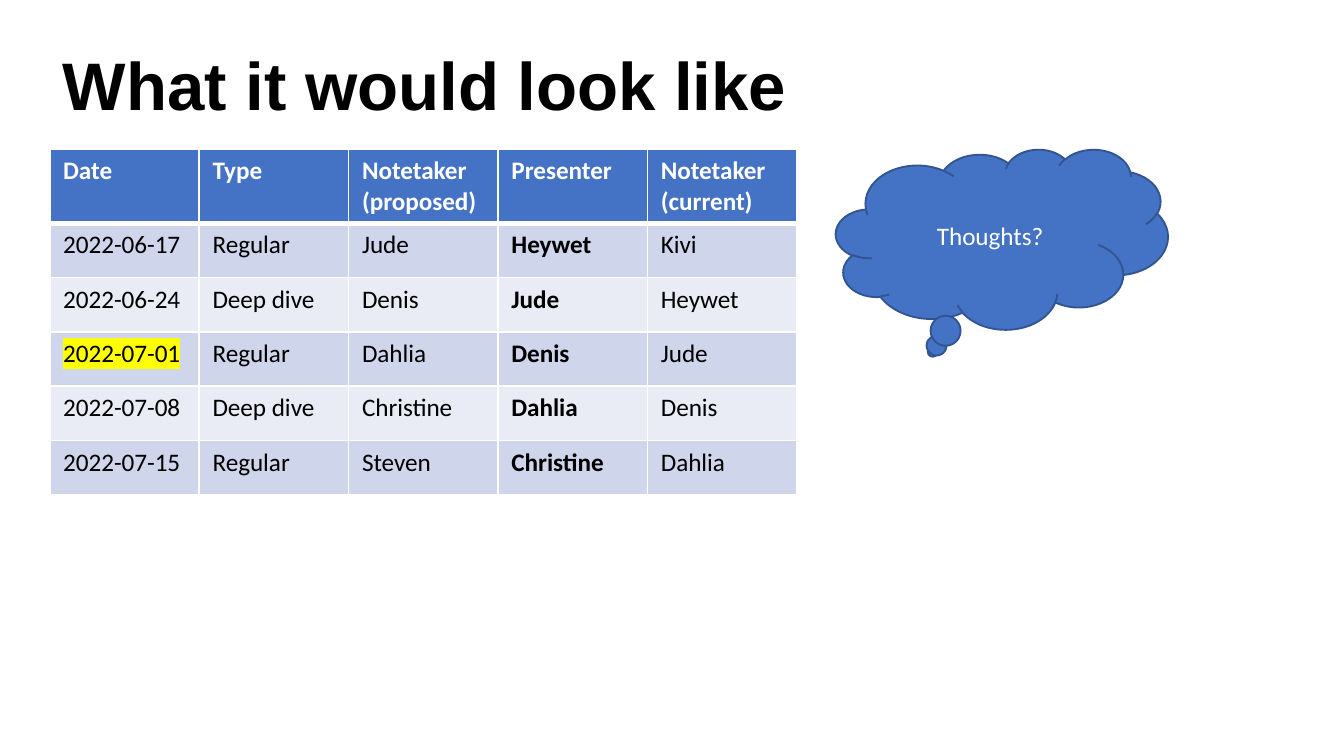
from lxml.etree import SubElement
from pptx import Presentation
from pptx.dml.color import RGBColor
from pptx.enum.shapes import MSO_SHAPE
from pptx.enum.text import MSO_ANCHOR, PP_ALIGN
from pptx.oxml import parse_xml
from pptx.oxml.ns import nsdecls, qn
from pptx.util import Inches, Pt


def paint(color, code):
    color.rgb = RGBColor.from_string(code)


class Deck:
    blue = "4472C4"
    edge = "325491"
    white = "FFFFFF"
    black = "000000"
    bands = ("CFD5EA", "E9EBF5")
    size = 13.5

    def __init__(self, wide, high):
        self.file = Presentation()
        self.file.slide_width = Inches(wide)
        self.file.slide_height = Inches(high)
        self.slide = self.file.slides.add_slide(self.file.slide_layouts[6])

    def font(self, para, color, size=size, name="Calibri", bold=False):
        font = para.font
        font.name, font.size, font.bold = name, Pt(size), bold
        paint(font.color, color)

    def title(self, text, *box):
        frame = self.slide.shapes.add_textbox(*map(Inches, box)).text_frame
        frame.word_wrap = True
        frame.vertical_anchor = MSO_ANCHOR.BOTTOM
        para = frame.paragraphs[0]
        para.text = text
        para.line_spacing = 0.9
        para.space_before = Pt(7.5)
        self.font(para, self.black, 36, "Arial", True)

    def border(self, cell, top, bottom):
        props = cell._tc.get_or_add_tcPr()
        sides = (("L", 1), ("R", 1), ("T", top), ("B", bottom))
        for spot, (side, width) in enumerate(sides):
            line = parse_xml(
                f'<a:ln{side} {nsdecls("a")} w="{Pt(width)}"><a:solidFill>'
                f'<a:srgbClr val="{self.white}"/></a:solidFill></a:ln{side}>')
            props.insert(spot, line)

    def mark(self, para, code):
        light = SubElement(para.runs[0]._r.get_or_add_rPr(), qn("a:highlight"))
        SubElement(light, qn("a:srgbClr")).set("val", code)

    def table(self, rows, *box, strong, marked):
        grid = self.slide.shapes.add_table(
            len(rows), len(rows[0]), *map(Inches, box)).table
        for r, row in enumerate(rows):
            head = r == 0
            for c, text in enumerate(row):
                cell = grid.cell(r, c)
                cell.fill.solid()
                paint(cell.fill.fore_color,
                      self.blue if head else self.bands[(r - 1) % 2])
                self.border(cell, 3 if r == 1 else 1, 3 if head else 1)
                para = cell.text_frame.paragraphs[0]
                para.text = text
                self.font(para, self.white if head else self.black,
                          bold=head or c == strong)
                if text == marked:
                    self.mark(para, "FFFF00")

    def cloud(self, text, *box):
        shape = self.slide.shapes.add_shape(
            MSO_SHAPE.CLOUD_CALLOUT, *map(Inches, box))
        shape.shadow.inherit = False
        shape.fill.solid()
        paint(shape.fill.fore_color, self.blue)
        paint(shape.line.color, self.edge)
        shape.line.width = Pt(1)
        frame = shape.text_frame
        frame.vertical_anchor = MSO_ANCHOR.MIDDLE
        para = frame.paragraphs[0]
        para.text = text
        para.alignment = PP_ALIGN.CENTER
        self.font(para, self.white)


def main():
    deck = Deck(10, 10 * 9 / 16)
    deck.title("What it would look like", 0.37, 0.43, 9.08, 0.55)
    rows = (
        ("Date", "Type", "Notetaker (proposed)", "Presenter",
         "Notetaker (current)"),
        ("2022-06-17", "Regular", "Jude", "Heywet", "Kivi"),
        ("2022-06-24", "Deep dive", "Denis", "Jude", "Heywet"),
        ("2022-07-01", "Regular", "Dahlia", "Denis", "Jude"),
        ("2022-07-08", "Deep dive", "Christine", "Dahlia", "Denis"),
        ("2022-07-15", "Regular", "Steven", "Christine", "Dahlia"),
    )
    deck.table(rows, 0.37, 1.11, 5.56, 2.43, strong=3, marked="2022-07-01")
    deck.cloud("Thoughts?", 6.22, 1.11, 2.47, 1.34)
    deck.file.save("out.pptx")


if __name__ == "__main__":
    main()
